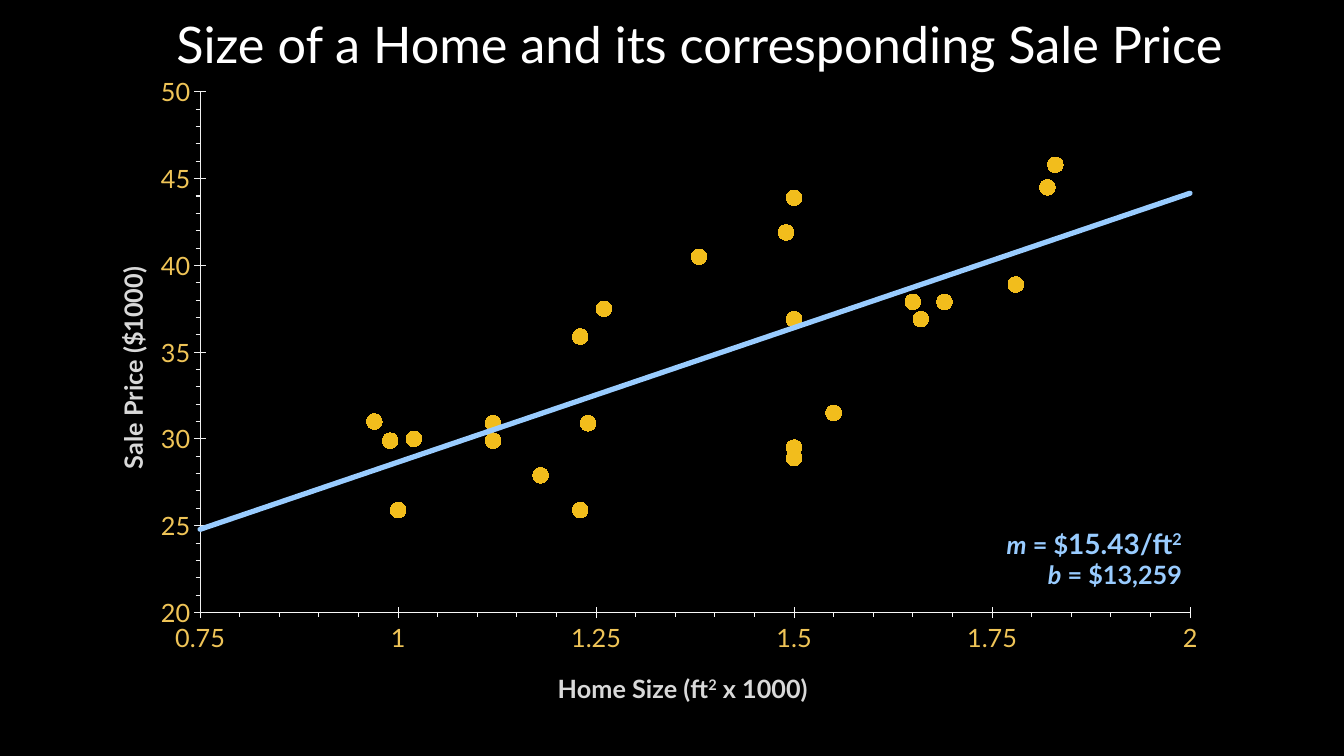
from dataclasses import dataclass

from lxml import etree
from pptx import Presentation, util as u
from pptx.chart.data import XyChartData
from pptx.dml.color import RGBColor
from pptx.enum import chart as ch, text as tx
from pptx.oxml import parse_xml
from pptx.oxml.ns import nsdecls, qn


@dataclass(frozen=True)
class Theme:
    font: str = "Lato"
    background: str = "000000"
    heading: str = "FFFFFF"
    axis_title: str = "D9D9D9"
    tick_label: str = "EFC457"
    home: str = "F2BD1C"
    trend: str = "99CCFF"
    title_size: int = 36
    text_size: int = 18
    slope_size: int = 20
    axis_width: float = 0.75
    trend_width: float = 3.75
    marker_size: int = 11


@dataclass(frozen=True)
class Area:
    """Left, top, width and height in inches on the slide."""
    left: float
    top: float
    width: float
    height: float

    def lengths(self) -> list[int]:
        return [u.Inches(v) for v in (self.left, self.top, self.width, self.height)]


@dataclass(frozen=True)
class Piece:
    text: str
    size: int
    color: str
    bold: bool = False
    italic: bool = False
    raised: bool = False


@dataclass(frozen=True)
class AxisStyle:
    title: list[Piece]
    title_at: tuple[float, float]  # shares of the chart's size
    low: float
    high: float
    major: float
    minor: float
    line: str
    rotation: int = 0


THEME = Theme()
TITLE_AREA = Area(1.65, 0.08, 10.6, 0.71)
CHART_AREA = Area(0.96, 0.71, 11.02, 6.33)
EQUATION_AREA = Area(9.8, 5.17, 2.02, 0.74)
PLOT_SHARES = {"x": 0.093, "y": 0.032, "w": 0.891, "h": 0.816}

# Home size (1000 square feet) and sale price ($1000)
HOMES = [
    (1, 25.9), (1.5, 29.5), (1.18, 27.9), (1.23, 25.9), (1.12, 29.9), (0.99, 29.9),
    (1.24, 30.9), (1.5, 28.9), (1.23, 35.9), (1.55, 31.5), (0.97, 31), (1.12, 30.9),
    (1.02, 30), (1.66, 36.9), (1.49, 41.9), (1.38, 40.5), (1.5, 43.9), (1.26, 37.5),
    (1.69, 37.9), (1.82, 44.5), (1.65, 37.9), (1.78, 38.9), (1.5, 36.9), (1.83, 45.8),
]


def axis_piece(text: str, raised: bool = False) -> Piece:
    return Piece(text, THEME.text_size, THEME.axis_title, bold=True, raised=raised)


def equation_piece(text: str, size: int = THEME.text_size, italic: bool = False,
                   raised: bool = False) -> Piece:
    return Piece(text, size, THEME.trend, True, italic, raised)


SIZE_AXIS = AxisStyle(
    [axis_piece("Home Size (ft"), axis_piece("2", raised=True), axis_piece(" x 1000)")],
    (0.412, 0.935), 0.75, 2, 0.25, 0.05, "F9F9F9")
PRICE_AXIS = AxisStyle(
    [axis_piece("Sale Price ($1000)")],
    (0.012, 0.299), 20, 50, 5, 1, "F0F0F0", rotation=-5400000)
EQUATION = [
    [equation_piece("m", italic=True), equation_piece(" = $"),
     equation_piece("15.43/ft", THEME.slope_size),
     equation_piece("2", THEME.slope_size, raised=True)],
    [equation_piece("b", italic=True), equation_piece(" = $13,259")],
]


def write_pieces(paragraph, pieces: list[Piece]) -> None:
    for piece in pieces:
        run = paragraph.add_run()
        run.text = piece.text
        font = run.font
        font.name, font.size = THEME.font, u.Pt(piece.size)
        font.bold, font.italic = piece.bold, piece.italic
        font.color.rgb = RGBColor.from_string(piece.color)
        if piece.raised:
            font._element.set("baseline", "30000")


def place(parent, index: int, shares: dict[str, float], inner: bool = False) -> None:
    """Give a chart part a fixed place, in shares of the chart's size."""
    for old in parent.findall(qn("c:layout")):
        parent.remove(old)
    layout = parse_xml(f"<c:layout {nsdecls('c')}><c:manualLayout/></c:layout>")
    settings = {"layoutTarget": "inner"} if inner else {}
    settings |= {f"{key}Mode": "edge" for key in ("x", "y")} | shares
    for tag, value in settings.items():
        etree.SubElement(layout[0], qn(f"c:{tag}")).set("val", str(value))
    parent.insert(index, layout)


def style_axis(axis, style: AxisStyle) -> None:
    axis.minimum_scale, axis.maximum_scale = style.low, style.high
    axis.major_unit, axis.minor_unit = style.major, style.minor
    axis.has_major_gridlines = axis.has_minor_gridlines = False
    axis.major_tick_mark = ch.XL_TICK_MARK.CROSS
    axis.minor_tick_mark = ch.XL_TICK_MARK.OUTSIDE
    axis.crosses = ch.XL_AXIS_CROSSES.MINIMUM
    axis.format.line.color.rgb = RGBColor.from_string(style.line)
    axis.format.line.width = u.Pt(THEME.axis_width)
    labels = axis.tick_labels
    labels.number_format, labels.number_format_is_linked = "General", False
    labels.font.name, labels.font.size = THEME.font, u.Pt(THEME.text_size)
    labels.font.color.rgb = RGBColor.from_string(THEME.tick_label)
    frame = axis.axis_title.text_frame
    write_pieces(frame.paragraphs[0], style.title)
    body = frame._txBody.find(qn("a:bodyPr"))
    body.set("rot", str(style.rotation))
    body.set("vert", "horz")
    place(axis.axis_title._element, 1, dict(zip("xy", style.title_at)))


def add_trend(series) -> None:
    """Linear trend line, carried on to both ends of the size axis."""
    sizes = [size for size, _ in HOMES]
    forward = round(SIZE_AXIS.high - max(sizes), 2)
    backward = round(min(sizes) - SIZE_AXIS.low, 2)
    trend = parse_xml(
        f"<c:trendline {nsdecls('c', 'a')}><c:spPr>"
        f'<a:ln w="{u.Pt(THEME.trend_width)}" cap="rnd"><a:solidFill>'
        f'<a:srgbClr val="{THEME.trend}"/></a:solidFill></a:ln></c:spPr>'
        f'<c:trendlineType val="linear"/><c:forward val="{forward}"/>'
        f'<c:backward val="{backward}"/><c:dispRSqr val="0"/><c:dispEq val="0"/>'
        "</c:trendline>")
    series._element.find(qn("c:xVal")).addprevious(trend)


def add_scatter(slide) -> None:
    data = XyChartData()
    homes = data.add_series("Series 1")
    for size, price in HOMES:
        homes.add_data_point(size, price)
    chart = slide.shapes.add_chart(
        ch.XL_CHART_TYPE.XY_SCATTER, *CHART_AREA.lengths(), data).chart
    chart.has_legend = chart.has_title = False
    chart.font.name, chart.font.size = THEME.font, u.Pt(10)
    chart.font.color.rgb = RGBColor.from_string(THEME.heading)
    chart.plots[0].vary_by_categories = False
    style_axis(chart.category_axis, SIZE_AXIS)
    style_axis(chart.value_axis, PRICE_AXIS)

    series = chart.plots[0].series[0]
    series.smooth = False
    series.format.line.fill.background()
    series.marker.style = ch.XL_MARKER_STYLE.CIRCLE
    series.marker.size = THEME.marker_size
    series.marker.format.fill.solid()
    series.marker.format.fill.fore_color.rgb = RGBColor.from_string(THEME.home)
    series.marker.format.line.fill.background()
    add_trend(series)
    place(chart._chartSpace.chart.plotArea, 0, PLOT_SHARES, inner=True)


def add_title(slide) -> None:
    title = slide.shapes.title
    title.left, title.top, title.width, title.height = TITLE_AREA.lengths()
    frame = title.text_frame
    frame.word_wrap = False
    frame.auto_size = tx.MSO_AUTO_SIZE.SHAPE_TO_FIT_TEXT
    frame.vertical_anchor = tx.MSO_ANCHOR.TOP
    frame.paragraphs[0].alignment = tx.PP_ALIGN.LEFT
    write_pieces(frame.paragraphs[0], [Piece(
        "Size of a Home and its corresponding Sale Price",
        THEME.title_size, THEME.heading)])


def add_equation(slide) -> None:
    frame = slide.shapes.add_textbox(*EQUATION_AREA.lengths()).text_frame
    frame.word_wrap = True
    frame.auto_size = tx.MSO_AUTO_SIZE.SHAPE_TO_FIT_TEXT
    for number, pieces in enumerate(EQUATION):
        paragraph = frame.add_paragraph() if number else frame.paragraphs[0]
        paragraph.alignment = tx.PP_ALIGN.RIGHT
        write_pieces(paragraph, pieces)


def main() -> None:
    deck = Presentation()
    deck.slide_width, deck.slide_height = u.Inches(13.33), u.Inches(7.5)
    slide = deck.slides.add_slide(deck.slide_layouts.get_by_name("Title Only"))
    slide.background.fill.solid()
    slide.background.fill.fore_color.rgb = RGBColor.from_string(THEME.background)
    add_scatter(slide)
    add_title(slide)
    add_equation(slide)
    deck.save("out.pptx")


if __name__ == "__main__":
    main()
